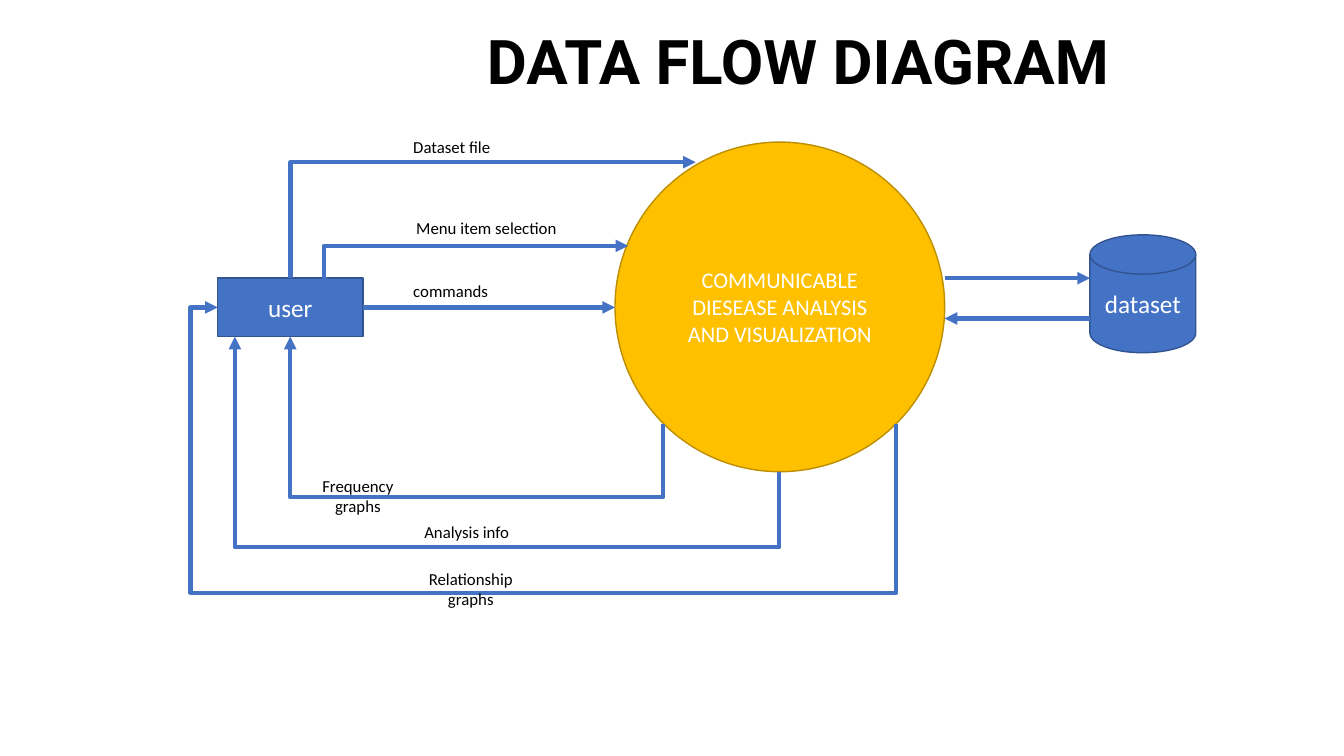
from dataclasses import dataclass

from lxml.etree import SubElement
from pptx import Presentation
from pptx.dml.color import RGBColor
from pptx.enum.shapes import MSO_CONNECTOR, MSO_SHAPE
from pptx.enum.text import MSO_ANCHOR, MSO_AUTO_SIZE, PP_ALIGN
from pptx.oxml.ns import qn
from pptx.util import Inches, Pt

COLORS = {
    "blue": "4472C4",
    "blue_edge": "325491",
    "gold": "FFC000",
    "gold_edge": "BD8E00",
    "white": "FFFFFF",
    "black": "000000",
}
# Connection sites, by shape
BOX_TOP, BOX_LEFT, BOX_BOTTOM, BOX_RIGHT = range(4)
OVAL_LEFT, OVAL_LOWER_LEFT, OVAL_BOTTOM, OVAL_LOWER_RIGHT = range(2, 6)


@dataclass
class Node:
    key: str
    preset: MSO_SHAPE
    box: tuple[float, float, float, float]
    text: str
    size: int
    fill: str
    edge: str


@dataclass
class Flow:
    start: tuple[float, float]
    end: tuple[float, float]
    preset: str = "line"
    turned: bool = False
    adjust: tuple[float, ...] = ()
    source: tuple[str, int] | None = None
    target: tuple[str, int] | None = None


@dataclass
class Label:
    text: str
    box: tuple[float, float, float, float]
    wrap: bool = False


NODES = [
    Node("process", MSO_SHAPE.OVAL, (6.1, 1.41, 3.27, 3.27),
         "COMMUNICABLE DIESEASE ANALYSIS AND VISUALIZATION", 16, "gold", "gold_edge"),
    Node("user", MSO_SHAPE.RECTANGLE, (2.16, 2.76, 1.44, 0.58),
         "user", 18, "blue", "blue_edge"),
    Node("dataset", MSO_SHAPE.FLOWCHART_MAGNETIC_DISK, (10.81, 2.33, 1.05, 1.17),
         "dataset", 18, "blue", "blue_edge"),
]

FLOWS = [
    Flow((2.88, 2.76), (6.9, 1.61), "bentConnector2", True, source=("user", BOX_TOP)),
    Flow((3.24, 2.77), (6.23, 2.44), "bentConnector3", adjust=(-0.01,)),
    Flow((3.6, 3.05), (6.1, 3.05),
         source=("user", BOX_RIGHT), target=("process", OVAL_LEFT)),
    Flow((6.58, 4.21), (2.88, 3.34), "bentConnector3", True, (-0.83,),
         ("process", OVAL_LOWER_LEFT), ("user", BOX_BOTTOM)),
    Flow((7.73, 4.68), (2.33, 3.34), "bentConnector4", True, (-0.56, 1),
         ("process", OVAL_BOTTOM)),
    Flow((8.89, 4.21), (2.16, 3.05), "bentConnector4", True, (-1.44, 1.04),
         ("process", OVAL_LOWER_RIGHT), ("user", BOX_LEFT)),
    Flow((9.37, 2.76), (10.81, 2.76)),
    Flow((10.81, 3.16), (9.37, 3.16)),
]

LABELS = [
    Label("Dataset file", (4, 1.31, 0.98, 0.3)),
    Label("Menu item selection", (4.03, 2.11, 1.61, 0.3)),
    Label("commands", (4, 2.74, 0.95, 0.3)),
    Label("Frequency graphs", (2.88, 4.67, 1.34, 0.5), True),
    Label("Analysis info", (3.96, 5.13, 1.34, 0.3), True),
    Label("Relationship graphs", (4, 5.59, 1.34, 0.5), True),
]


def color(name: str) -> RGBColor:
    return RGBColor.from_string(COLORS[name])


def write(tf, text: str, align, ink: str, frame: dict, font: dict) -> None:
    for key, value in frame.items():
        setattr(tf, key, value)
    p = tf.paragraphs[0]
    p.alignment = align
    r = p.add_run()
    r.text = text
    for key, value in font.items():
        setattr(r.font, key, value)
    r.font.color.rgb = color(ink)


def add_title(slide, text: str) -> None:
    sp = slide.shapes.title
    sp.left, sp.top, sp.width, sp.height = map(Inches, (4.73, 0.18, 6.48, 0.84))
    write(sp.text_frame, text, PP_ALIGN.LEFT, "black",
          {"word_wrap": False, "auto_size": MSO_AUTO_SIZE.SHAPE_TO_FIT_TEXT,
           "vertical_anchor": MSO_ANCHOR.TOP},
          {"name": "Roboto", "size": Pt(44), "bold": True})


def add_node(slide, node: Node):
    sp = slide.shapes.add_shape(node.preset, *map(Inches, node.box))
    sp.shadow.inherit = False
    sp.fill.solid()
    sp.fill.fore_color.rgb = color(node.fill)
    sp.line.color.rgb = color(node.edge)
    sp.line.width = Pt(1)
    write(sp.text_frame, node.text, PP_ALIGN.CENTER, "white",
          {"word_wrap": True, "vertical_anchor": MSO_ANCHOR.MIDDLE},
          {"name": "Calibri", "size": Pt(node.size)})
    return sp


def add_flow(slide, flow: Flow, nodes: dict) -> None:
    """Draw an arrow; a turned one is laid out sideways, then rotated by 90 degrees."""
    (x1, y1), (x2, y2) = flow.start, flow.end
    if flow.turned:
        cx, cy, dx, dy = (x1 + x2) / 2, (y1 + y2) / 2, x2 - x1, y2 - y1
        x1, x2 = cx - dy / 2, cx + dy / 2
        y1, y2 = cy + dx / 2, cy - dx / 2
    kind = MSO_CONNECTOR.STRAIGHT if flow.preset == "line" else MSO_CONNECTOR.ELBOW
    cxn = slide.shapes.add_connector(kind, *map(Inches, (x1, y1, x2, y2)))
    cxn.line.color.rgb = color("blue")
    cxn.line.width = Pt(3)
    SubElement(cxn.line._get_or_add_ln(), qn("a:tailEnd"), type="triangle")

    sp_pr = cxn._element.spPr
    SubElement(sp_pr, qn("a:effectLst"))
    if flow.turned:
        sp_pr.find(qn("a:xfrm")).set("rot", str(90 * 60000))
    geom = sp_pr.find(qn("a:prstGeom"))
    geom.set("prst", flow.preset)
    guides = geom.find(qn("a:avLst"))
    for i, share in enumerate(flow.adjust, 1):
        SubElement(guides, qn("a:gd"), name=f"adj{i}", fmla=f"val {round(share * 100000)}")

    joints = cxn._element.find(".//" + qn("p:cNvCxnSpPr"))
    for tag, link in (("a:stCxn", flow.source), ("a:endCxn", flow.target)):
        if link:
            key, site = link
            SubElement(joints, qn(tag), id=str(nodes[key].shape_id), idx=str(site))


def add_label(slide, label: Label) -> None:
    sp = slide.shapes.add_textbox(*map(Inches, label.box))
    write(sp.text_frame, label.text,
          PP_ALIGN.CENTER if label.wrap else PP_ALIGN.LEFT, "black",
          {"word_wrap": label.wrap, "auto_size": MSO_AUTO_SIZE.SHAPE_TO_FIT_TEXT},
          {"name": "Calibri", "size": Pt(12)})


def main() -> None:
    prs = Presentation()
    prs.slide_width, prs.slide_height = Inches(13.33), Inches(7.5)
    slide = prs.slides.add_slide(prs.slide_layouts.get_by_name("Title Only"))
    add_title(slide, "DATA FLOW DIAGRAM")
    nodes = {node.key: add_node(slide, node) for node in NODES}
    for flow in FLOWS:
        add_flow(slide, flow, nodes)
    for label in LABELS:
        add_label(slide, label)
    prs.save("out.pptx")


if __name__ == "__main__":
    main()
